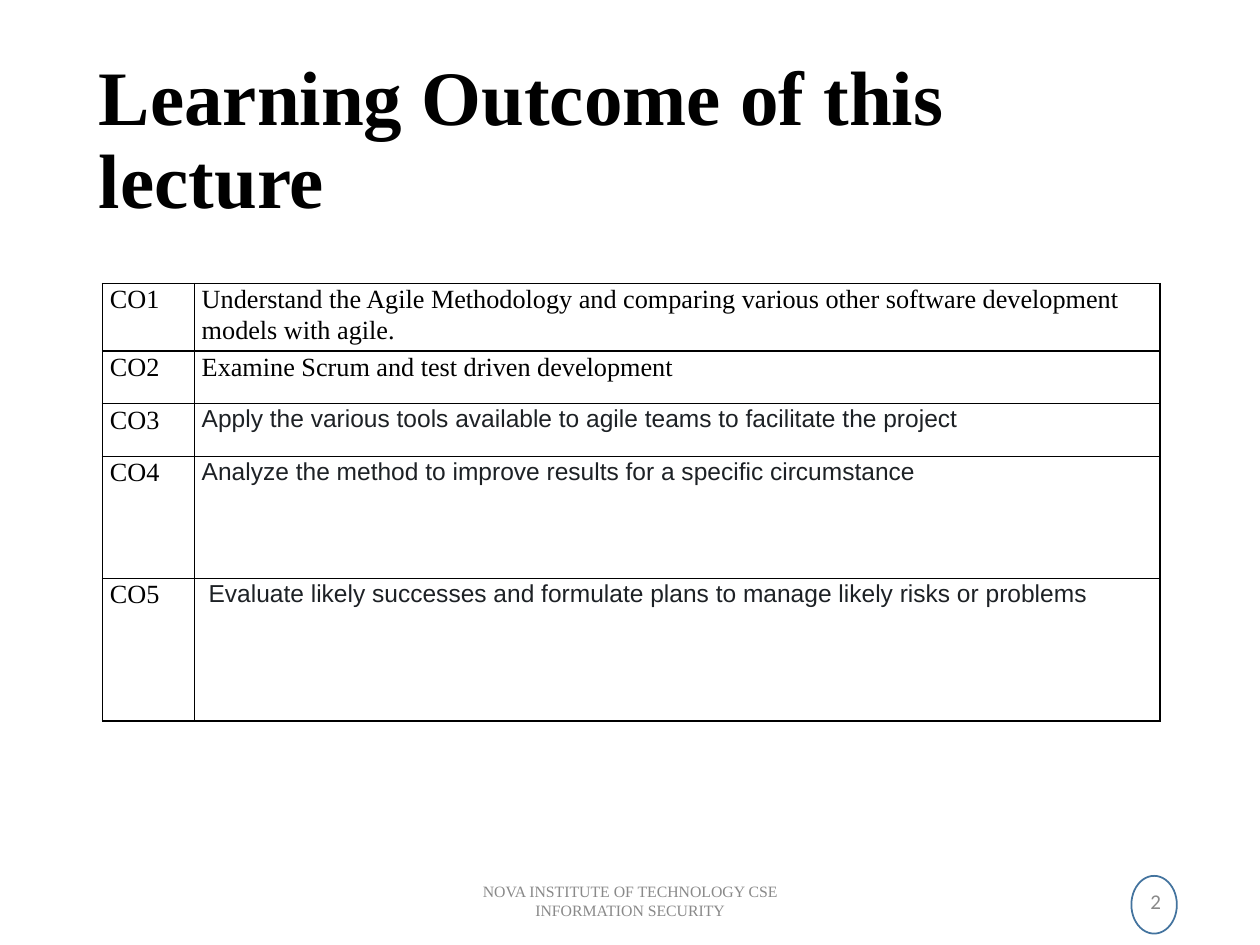
from lxml import etree
from pptx import Presentation
from pptx.dml.color import RGBColor
from pptx.enum import shapes, text
from pptx.oxml import ns
from pptx.util import Pt

HUES = {"ink": "000000", "dark": "1D2125", "grey": "898989", "ring": "43739E"}
SERIF, SANS = "Times New Roman", "Arial"
LEFT, MID, RIGHT = text.PP_ALIGN.LEFT, text.PP_ALIGN.CENTER, text.PP_ALIGN.RIGHT


def hue(name):
    return RGBColor.from_string(HUES[name])


def write(frame, words, size=15, font=SERIF, color="ink", bold=False,
          align=LEFT, lead=1.0):
    frame.word_wrap = True
    para = frame.paragraphs[0]
    para.alignment, para.line_spacing = align, lead
    run = para.add_run()
    run.text = words
    run.font.size, run.font.name, run.font.bold = Pt(size), font, bold
    run.font.color.rgb = hue(color)
    return para


class Deck:
    def __init__(self, wide, high):
        self.prs = Presentation()
        self.prs.slide_width, self.prs.slide_height = Pt(wide), Pt(high)
        self.slide = self.prs.slides.add_slide(self.prs.slide_layouts[6])

    def label(self, box, words, **style):
        frame = self.slide.shapes.add_textbox(*map(Pt, box)).text_frame
        frame.vertical_anchor = text.MSO_ANCHOR.MIDDLE
        write(frame, words, **style)

    def ring(self, box):
        oval = self.slide.shapes.add_shape(
            shapes.MSO_SHAPE.OVAL, *map(Pt, box))
        oval.shadow.inherit = False
        oval.fill.background()
        oval.line.color.rgb, oval.line.width = hue("ring"), Pt(1)

    def edge(self, cell):
        props = cell._tc.get_or_add_tcPr()
        for spot, side in enumerate(("lnL", "lnR", "lnT", "lnB")):
            line = etree.Element(ns.qn("a:" + side), w=str(Pt(1)))
            fill = etree.SubElement(line, ns.qn("a:solidFill"))
            etree.SubElement(fill, ns.qn("a:srgbClr"), val=HUES["ink"])
            props.insert(spot, line)

    def table(self, left, top, cols, highs, rows):
        grid = self.slide.shapes.add_table(
            len(rows), len(cols), Pt(left), Pt(top),
            Pt(sum(cols)), Pt(sum(highs))).table
        grid.first_row = grid.horz_banding = False
        for col, wide in zip(grid.columns, cols):
            col.width = Pt(wide)
        for row, high, items in zip(grid.rows, highs, rows):
            row.height = Pt(high)
            for cell, (words, style) in zip(row.cells, items):
                cell.fill.background()
                cell.margin_left = cell.margin_right = Pt(4.3)
                cell.margin_top = cell.margin_bottom = 0
                write(cell.text_frame, words, lead=1.07, **style)
                self.edge(cell)
        return grid


def main():
    deck = Deck(720, 540)

    # Ring behind the page number
    deck.ring((646.5, 500.5, 26, 33))

    # Title
    deck.label((49.5, 29, 621, 104), "Learning Outcome of this lecture",
               size=44, bold=True, lead=0.9)

    # Course outcomes
    plain, sans = {}, {"size": 14, "font": SANS, "color": "dark"}
    goals = [
        ("Understand the Agile Methodology and comparing various other "
         "software development models with agile.", plain),
        ("Examine Scrum and test driven development", plain),
        ("Apply the various tools available to agile teams to facilitate "
         "the project", sans),
        ("Analyze the method to improve results for a specific "
         "circumstance", sans),
        ("Evaluate likely successes and formulate plans to manage likely "
         "risks or problems", sans),
    ]
    rows = [((f"CO{num}", {"align": text.PP_ALIGN.JUSTIFY}), goal)
            for num, goal in enumerate(goals, 1)]
    grid = deck.table(58.5, 162, (52.5, 552), (38.5, 30.2, 30.2, 69.6, 81.5),
                      rows)
    grid.cell(4, 1).margin_left = Pt(8.2)  # last goal is set in a little

    # Footer and page number
    deck.label((238.5, 500.5, 243, 28.75),
               "NOVA INSTITUTE OF TECHNOLOGY CSE INFORMATION SECURITY",
               size=9, color="grey", align=MID)
    deck.label((508.5, 500.5, 162, 28.75), "2", size=12, font="Calibri",
               color="grey", align=RIGHT)

    deck.prs.save("out.pptx")


if __name__ == "__main__":
    main()
